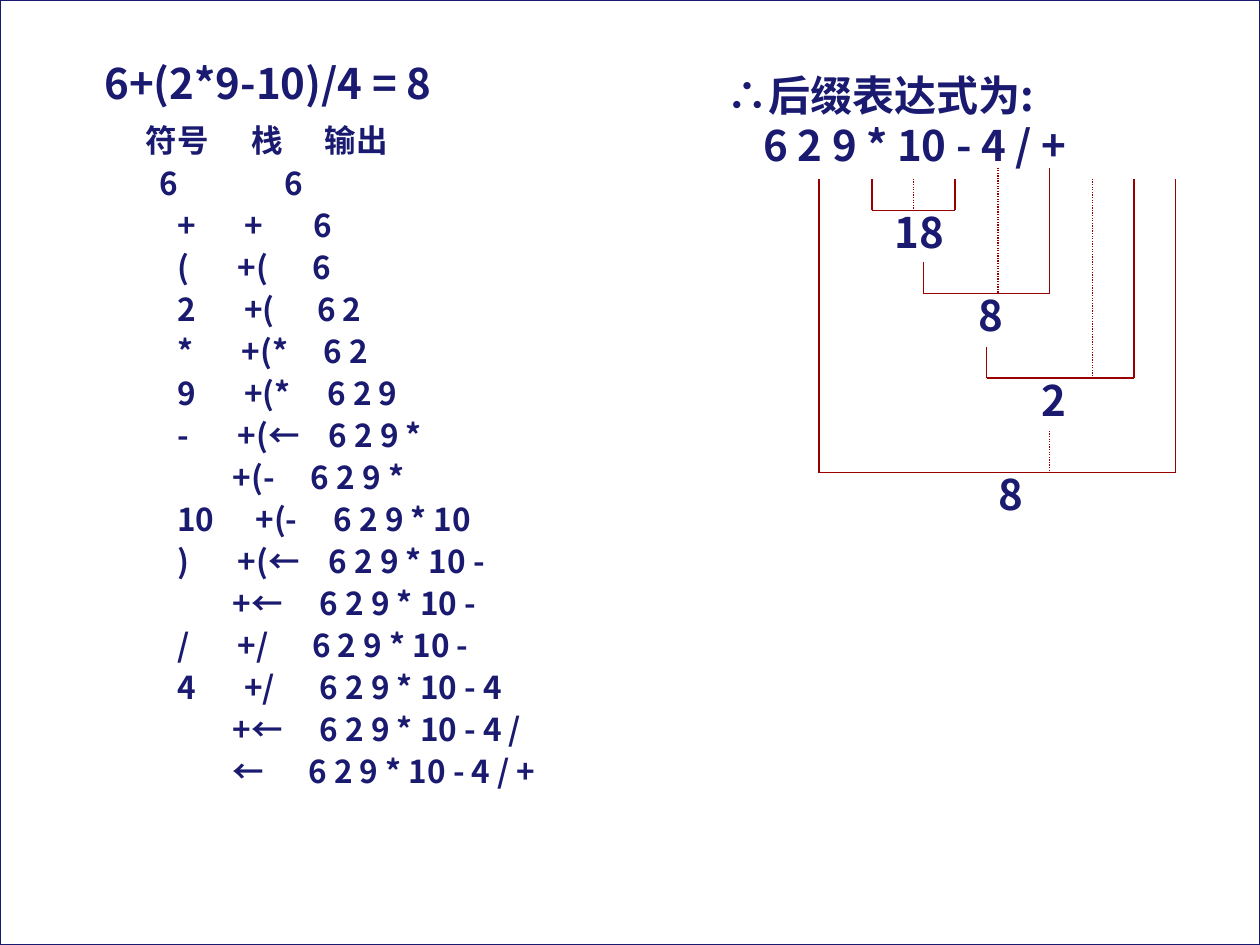
from dataclasses import dataclass

from lxml.etree import SubElement
from pptx import Presentation
from pptx.dml.color import RGBColor
from pptx.enum.dml import MSO_LINE
from pptx.enum.shapes import MSO_CONNECTOR, MSO_SHAPE
from pptx.enum.text import MSO_AUTO_SIZE, PP_ALIGN
from pptx.oxml.ns import qn
from pptx.util import Inches, Pt

COLORS = {"paper": "FFFFFF", "ink": "1A1A70", "bracket": "990000"}
FONT_NAME = "Noto Sans CJK SC"
LARGE, SMALL = 24, 18
ROW_STEP = 1 / 3


@dataclass
class TraceRow:
    """One step of the conversion: symbol, stack and output."""
    text: str
    stops: tuple[float, ...]
    left: float = 1.31


@dataclass
class Bracket:
    """Joins two operands (solid) and an operator (dotted) to a result."""
    left: float
    left_top: float
    right: float
    right_top: float
    operator: float
    operator_top: float
    bottom: float
    result: str
    result_left: float
    result_width: float = 0.5


HEADER = TraceRow("符号\t栈\t输出", (0.84, 1.42), 1.06)
TRACE = [
    TraceRow("\t6\t6", (0.11, 1.1), 1.06),
    TraceRow("+\t+\t6", (0.53, 1.08)),
    TraceRow("(\t+(\t6", (0.48, 1.07)),
    TraceRow("2\t+(\t6 2", (0.53, 1.11)),
    TraceRow("*\t+(*\t6 2", (0.51, 1.16)),
    TraceRow("9\t+(*\t6 2 9", (0.53, 1.19)),
    TraceRow("-\t+(←\t6 2 9 *", (0.48, 1.2)),
    TraceRow("\t+(-\t6 2 9 *", (0.44, 1.06)),
    TraceRow("10\t+(-\t6 2 9 * 10", (0.62, 1.24)),
    TraceRow(")\t+(←\t6 2 9 * 10 -", (0.48, 1.2)),
    TraceRow("\t+←\t6 2 9 * 10 -", (0.44, 1.13)),
    TraceRow("/\t+/\t6 2 9 * 10 -", (0.48, 1.07)),
    TraceRow("4\t+/\t6 2 9 * 10 - 4", (0.53, 1.13)),
    TraceRow("\t+←\t6 2 9 * 10 - 4 /", (0.44, 1.13)),
    TraceRow("\t←\t6 2 9 * 10 - 4 / +", (0.44, 1.04)),
]
BRACKETS = [
    Bracket(6.92, 1.42, 7.58, 1.42, 7.25, 1.42, 1.67, "18", 7, 0.67),
    Bracket(7.33, 2.08, 8.33, 1.33, 7.92, 1.33, 2.33, "8", 7.67),
    Bracket(7.83, 2.75, 9, 1.42, 8.67, 1.42, 3, "2", 8.17),
    Bracket(6.5, 1.42, 9.33, 1.42, 8.33, 3.42, 3.75, "8", 7.83),
]


def color(name: str) -> RGBColor:
    return RGBColor.from_string(COLORS[name])


def add_text(slide, lines: list[str], left: float, top: float, width: float,
             height: float, size: int, stops: tuple[float, ...] = ()):
    """Add a text box with one paragraph per line, and return its paragraphs."""
    shape = slide.shapes.add_textbox(
        Inches(left), Inches(top), Inches(width), Inches(height))
    frame = shape.text_frame
    frame.word_wrap = True
    frame.auto_size = MSO_AUTO_SIZE.SHAPE_TO_FIT_TEXT
    frame.text = "\n".join(lines)
    font_format = {"name": FONT_NAME, "size": Pt(size), "bold": True}
    for paragraph in frame.paragraphs:
        paragraph.alignment = PP_ALIGN.JUSTIFY
        if stops:
            set_tab_stops(paragraph, stops)
        for run in paragraph.runs:
            for attribute, value in font_format.items():
                setattr(run.font, attribute, value)
            run.font.color.rgb = color("ink")
            east_asian = SubElement(run.font._element, qn("a:ea"))
            east_asian.set("typeface", FONT_NAME)
    return frame.paragraphs


def set_tab_stops(paragraph, stops: tuple[float, ...]) -> None:
    tab_list = SubElement(paragraph._p.get_or_add_pPr(), qn("a:tabLst"))
    for stop in stops:
        tab = SubElement(tab_list, qn("a:tab"))
        tab.set("pos", str(int(Inches(stop))))
        tab.set("algn", "l")


def add_line(slide, start: tuple[float, float], end: tuple[float, float],
             dotted: bool = False) -> None:
    connector = slide.shapes.add_connector(
        MSO_CONNECTOR.STRAIGHT, *map(Inches, start + end))
    connector.line.color.rgb = color("bracket")
    connector.line.width = Pt(0.75)
    if dotted:
        connector.line.dash_style = MSO_LINE.ROUND_DOT
    SubElement(connector._element.spPr, qn("a:effectLst"))


def add_row(slide, row: TraceRow, top: float) -> None:
    add_text(slide, [row.text], row.left, top, 5.17, 0.4, SMALL, row.stops)


def add_bracket(slide, bracket: Bracket) -> None:
    bottom = bracket.bottom
    add_line(slide, (bracket.left, bracket.left_top), (bracket.left, bottom))
    add_line(slide, (bracket.operator, bracket.operator_top),
             (bracket.operator, bottom), dotted=True)
    add_line(slide, (bracket.left, bottom), (bracket.right, bottom))
    add_line(slide, (bracket.right, bracket.right_top), (bracket.right, bottom))
    add_text(slide, [bracket.result], bracket.result_left, bottom - 0.08,
             bracket.result_width, 0.5, LARGE)


def main() -> None:
    presentation = Presentation()
    presentation.slide_width = Inches(10)
    presentation.slide_height = Inches(7.5)
    slide = presentation.slides.add_slide(presentation.slide_layouts[6])

    # Framed page
    page = slide.shapes.add_shape(
        MSO_SHAPE.RECTANGLE, 0, 0, Inches(10), Inches(7.5))
    page.shadow.inherit = False
    page.fill.solid()
    page.fill.fore_color.rgb = color("paper")
    page.line.color.rgb = color("ink")
    page.line.width = Pt(0.75)

    # Infix expression and its conversion trace
    add_text(slide, ["6+(2*9-10)/4 = 8"], 0.73, 0.41, 3.08, 0.5, LARGE)
    add_row(slide, HEADER, 0.91)
    for index, row in enumerate(TRACE):
        add_row(slide, row, 1.25 + index * ROW_STEP)

    # Postfix expression, second line indented
    postfix = add_text(slide, ["∴后缀表达式为:", "6 2 9 * 10 - 4 / +"],
                       5.67, 0.5, 4.08, 1.2, LARGE)
    postfix[1]._p.get_or_add_pPr().set("marL", str(int(Inches(0.29))))

    # Evaluation brackets
    for bracket in BRACKETS:
        add_bracket(slide, bracket)

    presentation.save("out.pptx")


if __name__ == "__main__":
    main()
